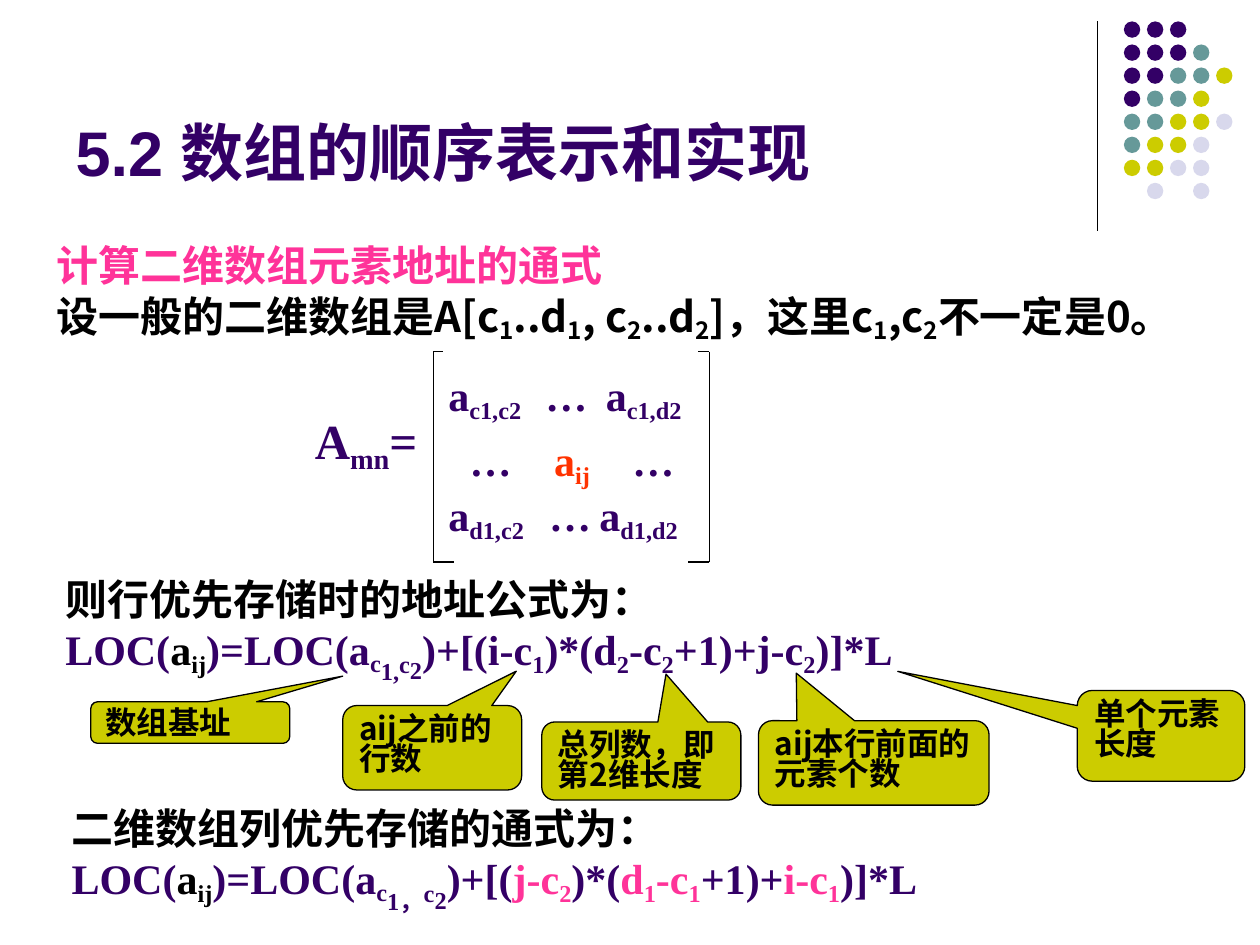
from dataclasses import dataclass
from lxml.etree import SubElement as Sub
from pptx import Presentation
from pptx.dml.color import RGBColor as RGB
from pptx.enum.shapes import MSO_CONNECTOR as LINE, MSO_SHAPE as SHAPE
from pptx.enum.text import MSO_ANCHOR as ANCHOR, MSO_AUTO_SIZE as FIT, PP_ALIGN as ALIGN
from pptx.oxml.ns import qn
from pptx.util import Inches, Pt


@dataclass(frozen=True)
class Theme:
    ink: str = "330066"
    teal: str = "669999"
    lime: str = "CCCC00"
    pale: str = "D8D8EC"
    pink: str = "FF3399"
    red: str = "FF3300"
    black: str = "000000"
    sans: str = "Arial"
    han: str = "Noto Sans CJK SC"
    serif: str = "Times New Roman"
    head: int = 36
    name: int = 28
    body: int = 24
    note: int = 18
    rule: float = 0.75


T = Theme()


def write(para, parts, size, face, hue, tabs=()):
    """Fill a paragraph; a part is a string or (text, baseline %, colour)."""
    para.alignment = ALIGN.LEFT
    if tabs:
        stops = Sub(para._p.get_or_add_pPr(), qn("a:tabLst"))
        for pos in tabs:
            Sub(stops, qn("a:tab"), pos=str(Inches(pos)), algn="l")
    font = para.font
    font.size, font.bold = Pt(size), True
    font.color.rgb = RGB.from_string(hue)
    font.name = face
    Sub(font._element if hasattr(font, "_element") else font._rPr,
        qn("a:ea"), typeface=T.han)
    for part in parts:
        text, base, tint = part if isinstance(part, tuple) else (part, 0, None)
        run = para.add_run()
        run.text = text
        if base:
            run.font._rPr.set("baseline", str(base * 1000))
        if tint:
            run.font.color.rgb = RGB.from_string(tint)


def add_box(left, top, width, height, anchor=ANCHOR.TOP):
    box = slide.shapes.add_textbox(*map(Inches, (left, top, width, height)))
    frame = box.text_frame
    frame.word_wrap = True
    frame.vertical_anchor = anchor
    return frame


deck = Presentation()
deck.slide_width, deck.slide_height = Inches(10), Inches(7.5)
slide = deck.slides.add_slide(deck.slide_layouts[5])

# Title
title = slide.shapes.title
title.left, title.top = Inches(0.5), Inches(0.13)
title.width, title.height = Inches(8.25), Inches(1.42)
frame = title.text_frame
frame.auto_size = FIT.NONE
frame.word_wrap = True
frame.vertical_anchor = ANCHOR.BOTTOM
write(frame.paragraphs[0], ["5.2 ", "数组的顺序表示和实现"], T.head, T.sans, T.ink)
frame.paragraphs[0].runs[1].font.name = T.han

# Corner dots
hues = {"P": T.ink, "T": T.teal, "Y": T.lime, "L": T.pale}
grid = ["PPP", "PPPT", "PPTTY", "PTTY", "TTYYL", "TYYL", "YYLL", " L L"]
for row, marks in enumerate(grid):
    for col, mark in enumerate(marks):
        if mark in hues:
            dot = slide.shapes.add_shape(
                SHAPE.OVAL, Inches(8.92 + 0.183 * col), Inches(0.17 + 0.183 * row),
                Inches(0.13), Inches(0.13))
            dot.shadow.inherit = False
            dot.fill.solid()
            dot.fill.fore_color.rgb = RGB.from_string(hues[mark])
            dot.line.fill.background()

# Divider, then the matrix brackets
lines = [(8.71, 0.17, 8.71, 1.83),
         (3.44, 2.79, 3.44, 4.46), (3.44, 2.79, 3.52, 2.79), (3.44, 4.46, 3.6, 4.46),
         (5.63, 2.79, 5.63, 4.46), (5.54, 2.79, 5.63, 2.79), (5.63, 4.46, 5.46, 4.46)]
for ends in lines:
    rule = slide.shapes.add_connector(LINE.STRAIGHT, *map(Inches, ends))
    rule.line.width = Pt(T.rule)
    rule.line.color.rgb = RGB.from_string(T.black)
    Sub(rule._element.spPr, qn("a:effectLst"))

# Intro
one, two = ("1", -18, None), ("2", -18, None)
frame = add_box(0.35, 1.86, 9.65, 0.92, ANCHOR.MIDDLE)
write(frame.paragraphs[0], ["计算二维数组元素地址的通式"], T.body, T.han, T.pink)
write(frame.add_paragraph(),
      ["设一般的二维数组是A[c", one, "..d", one, ", c", two, "..d", two,
       "]，这里c", one, ",c", two, "不一定是0。"], T.body, T.han, T.black)

# Matrix
frame = add_box(2.4, 3.21, 1.23, 0.61)
write(frame.paragraphs[0], ["A", ("mn", -20, None), "="], T.name, T.serif, T.ink)
frame = add_box(3.38, 2.88, 2.33, 1.5)
rows = [
    (["\ta", ("c1,c2", -20, None), "\t…\ta", ("c1,d2", -20, None)], (0.08, 0.85, 1.33), 0),
    (["\t…\t", ("a", 0, T.red), ("ij", -18, T.red), "\t…"], (0.25, 0.92, 1.54), 6),
    (["\ta", ("d1,c2", -20, None), "\t…\ta", ("d1,d2", -20, None)], (0.08, 0.88, 1.28), 0),
]
for num, (parts, tabs, gap) in enumerate(rows):
    para = frame.add_paragraph() if num else frame.paragraphs[0]
    para.space_before = Pt(gap)
    write(para, parts, T.body, T.serif, T.ink, tabs)

# Callouts: box, pointer tip, text
notes = [
    ((8.55, 5.48, 1.33, 0.72), (-1.571, -0.711), "单个元素长度"),
    ((2.72, 5.6, 1.42, 0.67), (0.47, -0.907), "aij之前的行数"),
    ((0.72, 5.57, 1.58, 0.33), (0.766, -1.117), "数组基址"),
    ((4.3, 5.73, 1.58, 0.62), (0.124, -1.113), "总列数，即第2维长度"),
    ((6.02, 5.72, 1.83, 0.67), (-0.336, -1.063), "aij本行前面的元素个数"),
]
for area, tip, text in notes:
    note = slide.shapes.add_shape(SHAPE.ROUNDED_RECTANGULAR_CALLOUT, *map(Inches, area))
    note.adjustments[0], note.adjustments[1] = tip
    note.shadow.inherit = False
    note.fill.solid()
    note.fill.fore_color.rgb = RGB.from_string(T.lime)
    note.line.color.rgb = RGB.from_string(T.black)
    note.line.width = Pt(T.rule)
    frame = note.text_frame
    frame.word_wrap = True
    frame.vertical_anchor = ANCHOR.TOP
    frame.paragraphs[0].line_spacing = 0.8
    write(frame.paragraphs[0], [text], T.note, T.han, T.black)

# Address formulas
pink1, pink2 = ("1", -18, T.pink), ("2", -18, T.pink)
sums = [
    ((0.42, 4.5, 8.5, 0.99), "则行优先存储时的地址公式为：", "1,",
     ["i-c", one, ")*(d", two, "-c", two, "+1)+j-c", two]),
    ((0.47, 6.32, 7.83, 0.99), "二维数组列优先存储的通式为：", "1，",
     [("j-c", 0, T.pink), pink2, ")*(", ("d", 0, T.pink), pink1,
      ("-c", 0, T.pink), pink1, "+1)+", ("i-c", 0, T.pink), pink1]),
]
for area, lead, mark, terms in sums:
    frame = add_box(*area)
    write(frame.paragraphs[0], [lead], T.body, T.han, T.black)
    base = ["LOC(", ("a", 0, T.black), ("ij", -18, T.black), ")=LOC(a",
            ("c", -16, None), (mark, -36, None), ("c", -18, None), ("2", -34, None), ")+[("]
    write(frame.add_paragraph(), base + terms + [")]*L"], T.body, T.serif, T.ink)

deck.save("out.pptx")
